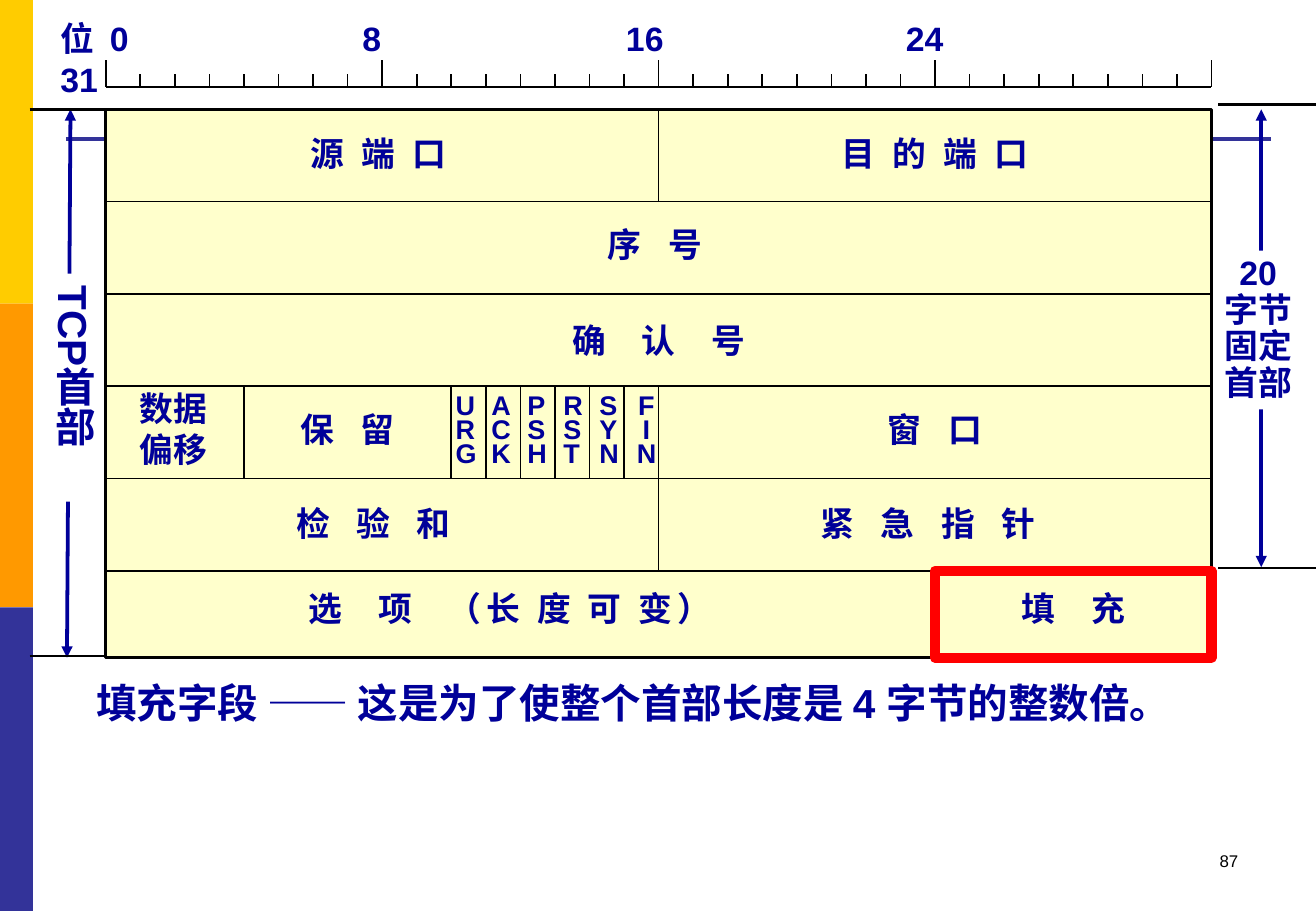
import pptx
import pptx.util
import pptx.dml.color
import pptx.enum.shapes
import pptx.enum.text
import pptx.oxml
import pptx.oxml.ns

ALIGN = pptx.enum.text.PP_ALIGN
ANCHOR = pptx.enum.text.MSO_ANCHOR
NAVY, BLACK, WHITE = "000099", "000000", "FFFFFF"
BITS, LAST_ROW, BOTTOM = 32, 5, 5.94


def color(hex_text):
    return pptx.dml.color.RGBColor.from_string(hex_text)


def add_xml(parent, tag, **attributes):
    child = pptx.oxml.parse_xml(f'<a:{tag} {pptx.oxml.ns.nsdecls("a")}/>')
    for name, value in attributes.items():
        child.set(name, value)
    parent.append(child)


class HeaderSlide:
    """A slide with a grid of 32 bit columns and the rows of the TCP header."""

    font = "Arial"

    def __init__(self, prs):
        self.width, self.height = prs.slide_width, prs.slide_height
        self.s = prs.slides.add_slide(prs.slide_layouts[6])

    def bit(self, n):
        return pptx.util.Inches(0.87 + 9.1 / BITS * n)

    def row(self, n):
        return pptx.util.Inches(0.9 + 0.76 * n)

    def across(self, share):
        return int(self.width * share)

    def down(self, share):
        return int(self.height * share)

    def rect(self, x1, y1, x2, y2, fill=None, line=None, weight=1):
        sp = self.s.shapes.add_shape(
            pptx.enum.shapes.MSO_SHAPE.RECTANGLE, x1, y1, x2 - x1, y2 - y1)
        sp.shadow.inherit = False
        if fill:
            sp.fill.solid()
            sp.fill.fore_color.rgb = color(fill)
        else:
            sp.fill.background()
        if line:
            sp.line.color.rgb = color(line)
            sp.line.width = pptx.util.Pt(weight)
        else:
            sp.line.fill.background()
        return sp

    def line(self, x1, y1, x2, y2, weight=1, stroke=BLACK, arrows=False):
        c = self.s.shapes.add_connector(
            pptx.enum.shapes.MSO_CONNECTOR.STRAIGHT, x1, y1, x2, y2)
        c.line.color.rgb = color(stroke)
        c.line.width = pptx.util.Pt(weight)
        if arrows:
            for end in ("headEnd", "tailEnd"):
                add_xml(c.line._get_or_add_ln(), end, type="triangle")
        add_xml(c._element.spPr, "effectLst")

    def set_text(self, sp, paragraphs, size=20, align=ALIGN.CENTER, anchor=ANCHOR.MIDDLE,
                 spacing=None, stroke=NAVY, bold=True, inset=0.0):
        """Each paragraph is a list of (text, letter spacing in points) runs."""
        tf = sp.text_frame
        tf.word_wrap = True
        tf.vertical_anchor = anchor
        tf.margin_left = tf.margin_right = pptx.util.Inches(inset)
        tf.margin_top = tf.margin_bottom = pptx.util.Inches(inset / 2)
        for i, runs in enumerate(paragraphs):
            p = tf.add_paragraph() if i else tf.paragraphs[0]
            p.alignment = align
            if spacing:
                p.line_spacing = spacing
            p.font.name, p.font.bold = self.font, bold
            p.font.size = pptx.util.Pt(size)
            p.font.color.rgb = color(stroke)
            for text, letter_gap in runs:
                r = p.add_run()
                r.text = text
                if letter_gap:
                    r._r.get_or_add_rPr().set("spc", str(round(letter_gap * 100)))

    def label(self, paragraphs, bit, row, columns=14, **style):
        """Text centred on a point of the grid."""
        height = self.row(1) - self.row(0)
        box = self.s.shapes.add_textbox(
            self.bit(bit - columns / 2), self.row(row - 0.5),
            self.bit(columns) - self.bit(0), height)
        self.set_text(box, paragraphs, **style)

    def text(self, text, x, y, width, height, **style):
        box = self.s.shapes.add_textbox(
            self.across(x), self.down(y), self.across(width), self.down(height))
        self.set_text(box, [[(text, 0)]], inset=0.1, **style)


def plain(*lines):
    return [[(line, 0)] for line in lines]


def draw_background(h):
    for i, fill in enumerate(("FFCC00", "FF9900", "333399")):
        h.rect(0, h.down(i / 3), h.across(0.025), h.down((i + 1) / 3), fill)
    h.line(h.across(0.05), h.down(0.153), h.across(0.966), h.down(0.153), 2.25, "333399")


def draw_ruler(h):
    base = -0.24
    h.line(h.bit(0), h.row(base), h.bit(BITS), h.row(base))
    for n in range(BITS + 1):
        top = -0.53 if n % 8 == 0 else -0.38
        h.line(h.bit(n), h.row(top), h.bit(n), h.row(base))
    for text, bit in (("位", -0.83), ("0", 0.39), ("8", 7.7), ("16", 15.6), ("24", 23.7)):
        h.label(plain(text), bit, -0.77, columns=3)
    h.label(plain("31"), -0.77, -0.33, columns=3)


def draw_measures(h):
    h.line(h.bit(-1.02), h.row(0), h.bit(-1.12), h.row(BOTTOM), 2.25, NAVY, True)
    sp = h.rect(h.bit(-2), h.row(1.78), h.bit(0), h.row(4.25), WHITE)
    h.set_text(sp, plain("TCP首部"), 24, ALIGN.LEFT, spacing=0.9, inset=0.1)
    sp.text_frame._txBody.bodyPr.set("vert", "eaVert")

    h.line(h.bit(33.44), h.row(0), h.bit(33.44), h.row(4.96), 2.25, NAVY, True)
    sp = h.rect(h.bit(32), h.row(1.53), h.bit(34.7), h.row(3.25), WHITE)
    h.set_text(sp, plain("20", "字节", "固定", "首部"), anchor=ANCHOR.TOP,
               spacing=0.9, inset=0.1)

    for y in (0, BOTTOM - 0.02):
        h.line(h.bit(-2.2), h.row(y), h.bit(0), h.row(y), 1.5)
    for y in (-0.05, 4.97):
        h.line(h.bit(32.2), h.row(y), h.across(1), h.row(y), 1.5)


def draw_header(h):
    h.rect(h.bit(0), h.row(0), h.bit(BITS), h.row(BOTTOM), "FFFFCC", BLACK, 2)
    for n in range(1, LAST_ROW + 1):
        h.line(h.bit(0), h.row(n), h.bit(BITS), h.row(n))
    dividers = [(16, 0, 1), (16, 3, 5), (4, 3, 4), (24, LAST_ROW, BOTTOM)]
    dividers += [(n, 3, 4) for n in range(10, 16)]
    for n, top, bottom in dividers:
        h.line(h.bit(n), h.row(top), h.bit(n), h.row(bottom))

    narrow, medium, wide = 2.8, 5.6, 8.3
    fields = (
        ("源 端 口", narrow, 7.9, 0.47),
        ("目 的 端 口", narrow, 24, 0.47),
        ("序 号", medium, 15.9, 1.46),
        ("确 认 号", wide, 16, 2.5),
        ("保 留", medium, 7, 3.46),
        ("窗 口", medium, 24, 3.46),
        ("检 验 和", medium, 7.75, 4.48),
        ("紧 急 指 针", medium, 23.8, 4.48),
        ("填 充", wide, 28, 5.4),
    )
    for text, gap, bit, row in fields:
        h.label([[(text, gap)]], bit, row)
    h.label([[("选 项 ", wide), ("（长 度 可 变）", narrow)]], 11.7, 5.4)
    h.label(plain("数据", "偏移"), 1.95, 3.46, columns=4)
    for i, flag in enumerate(("URG", "ACK", "PSH", "RST", "SYN", "FIN")):
        align = ALIGN.CENTER if flag == "FIN" else ALIGN.LEFT
        h.label(plain(*flag), 10.45 + 1.04 * i, 3.5, columns=0.65,
                size=16, align=align, spacing=0.75)
    h.rect(h.bit(24), h.row(LAST_ROW), h.bit(BITS), h.row(BOTTOM), line="FF0000", weight=6)


def main():
    prs = pptx.Presentation()
    prs.slide_width = pptx.util.Inches(10.83)
    prs.slide_height = pptx.util.Inches(7.5)
    h = HeaderSlide(prs)
    draw_background(h)
    draw_measures(h)
    draw_header(h)
    draw_ruler(h)
    h.text("填充字段 —— 这是为了使整个首部长度是 4 字节的整数倍。",
           0.064, 0.737, 0.893, 0.067, size=24, align=ALIGN.LEFT, anchor=ANCHOR.BOTTOM)
    h.text("87", 0.717, 0.927, 0.233, 0.067, size=10, align=ALIGN.RIGHT,
           anchor=ANCHOR.TOP, stroke=BLACK, bold=False)
    prs.save("out.pptx")


if __name__ == "__main__":
    main()
